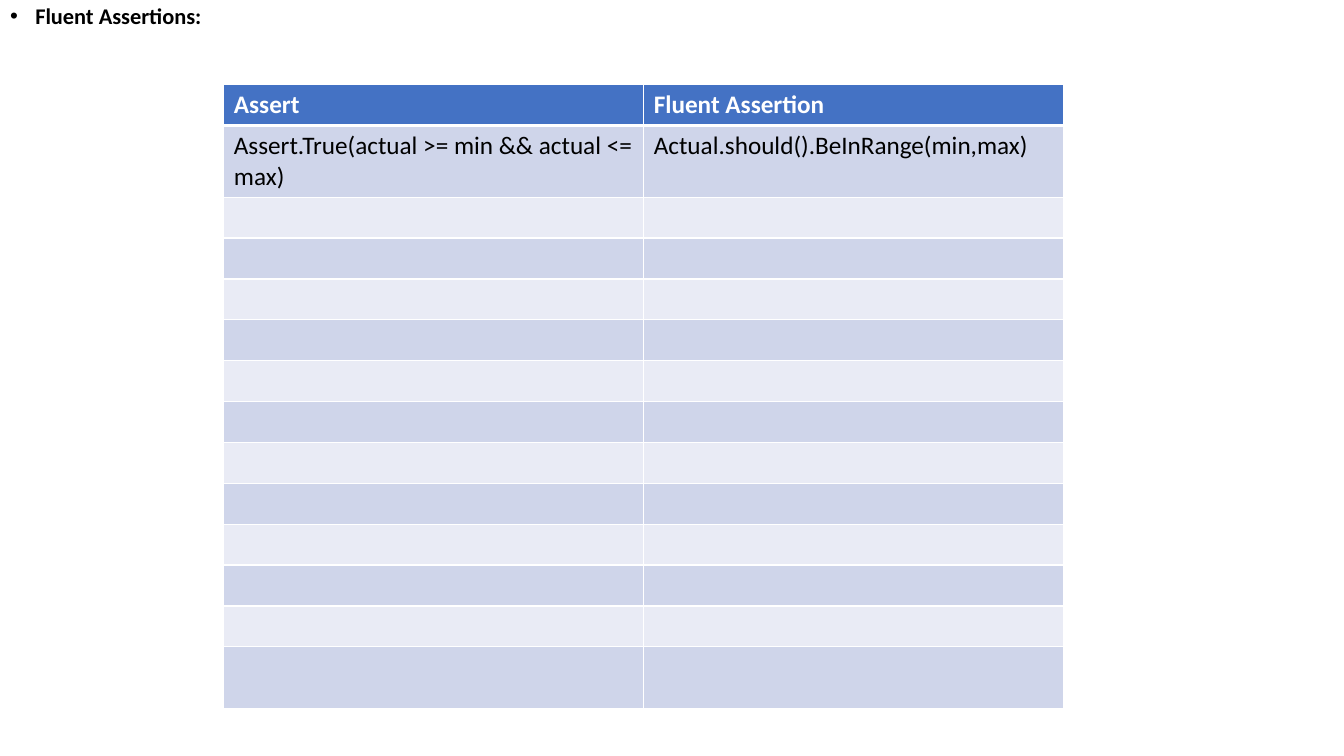
from lxml import etree
from pptx import Presentation, util as u
from pptx.dml.color import RGBColor
from pptx.enum import text
from pptx.oxml import ns

WHITE = RGBColor(0xFF, 0xFF, 0xFF)
BLACK = RGBColor(0x00, 0x00, 0x00)
HEADER_BLUE = RGBColor(0x44, 0x72, 0xC4)
BANDS = (RGBColor(0xE9, 0xEB, 0xF5), RGBColor(0xCF, 0xD5, 0xEA))

ROW_COUNT = 14
ASSERTIONS = [
    ("Assert", "Fluent Assertion"),
    ("Assert.True(actual >= min && actual <= max)", "Actual.should().BeInRange(min,max)"),
]


def write(para, words, size=18, color=BLACK, bold=False, font="Calibri"):
    span = para.add_run()
    span.text = words
    span.font.name = font
    span.font.size = u.Pt(size)
    span.font.bold = bold
    span.font.color.rgb = color


class Page:
    def __init__(self, deck):
        self.slide = deck.slides.add_slide(deck.slide_layouts[1])
        title = self.slide.shapes.title
        title.element.getparent().remove(title.element)

    def bullet_list(self, items, left, top, width, height):
        box = self.slide.placeholders[1]
        box.left, box.top = u.Inches(left), u.Inches(top)
        box.width, box.height = u.Inches(width), u.Inches(height)
        frame = box.text_frame
        frame.auto_size = text.MSO_AUTO_SIZE.NONE
        frame.vertical_anchor = text.MSO_ANCHOR.TOP
        for index, item in enumerate(items):
            para = frame.add_paragraph() if index else frame.paragraphs[0]
            para.line_spacing = 0.9
            para.space_before = u.Pt(10)
            write(para, item, size=16, bold=True)
            # Bullet and hanging indent
            props = para._p.get_or_add_pPr()
            props.set("marL", str(u.Inches(0.25)))
            props.set("indent", str(u.Inches(-0.25)))
            etree.SubElement(props, ns.qn("a:buFont"), typeface="Arial")
            etree.SubElement(props, ns.qn("a:buChar"), char="•")

    def table(self, rows, row_count, left, top, width, row_height, last_height):
        height = row_height * (row_count - 1) + last_height
        grid = self.slide.shapes.add_table(
            row_count, len(rows[0]),
            u.Inches(left), u.Inches(top), u.Inches(width), u.Inches(height)).table
        for row in grid.rows:
            row.height = u.Inches(row_height)
        grid.rows[row_count - 1].height = u.Inches(last_height)
        for index, row in enumerate(grid.rows):
            header = index == 0
            for column, cell in enumerate(row.cells):
                cell.fill.solid()
                cell.fill.fore_color.rgb = HEADER_BLUE if header else BANDS[index % 2]
                self.borders(cell, bottom=3 if header else 1)
                if index < len(rows):
                    write(cell.text_frame.paragraphs[0], rows[index][column],
                          color=WHITE if header else BLACK, bold=header)

    def borders(self, cell, bottom):
        props = cell._tc.get_or_add_tcPr()
        widths = {"a:lnL": 1, "a:lnR": 1, "a:lnT": 1, "a:lnB": bottom}
        for place, (side, points) in enumerate(widths.items()):
            line = etree.Element(ns.qn(side), w=str(u.Pt(points)))
            fill = etree.SubElement(line, ns.qn("a:solidFill"))
            etree.SubElement(fill, ns.qn("a:srgbClr"), val=str(WHITE))
            props.insert(place, line)


def main():
    deck = Presentation()
    deck.slide_width, deck.slide_height = u.Inches(13.33), u.Inches(7.5)
    page = Page(deck)

    # Heading
    page.bullet_list(["Fluent Assertions:"], 0, 0, 13.33, 7.5)

    # Comparison of the two styles
    page.table(ASSERTIONS, ROW_COUNT, left=2.22, top=0.84, width=8.33,
               row_height=0.35, last_height=0.61)

    deck.save("out.pptx")


if __name__ == "__main__":
    main()
